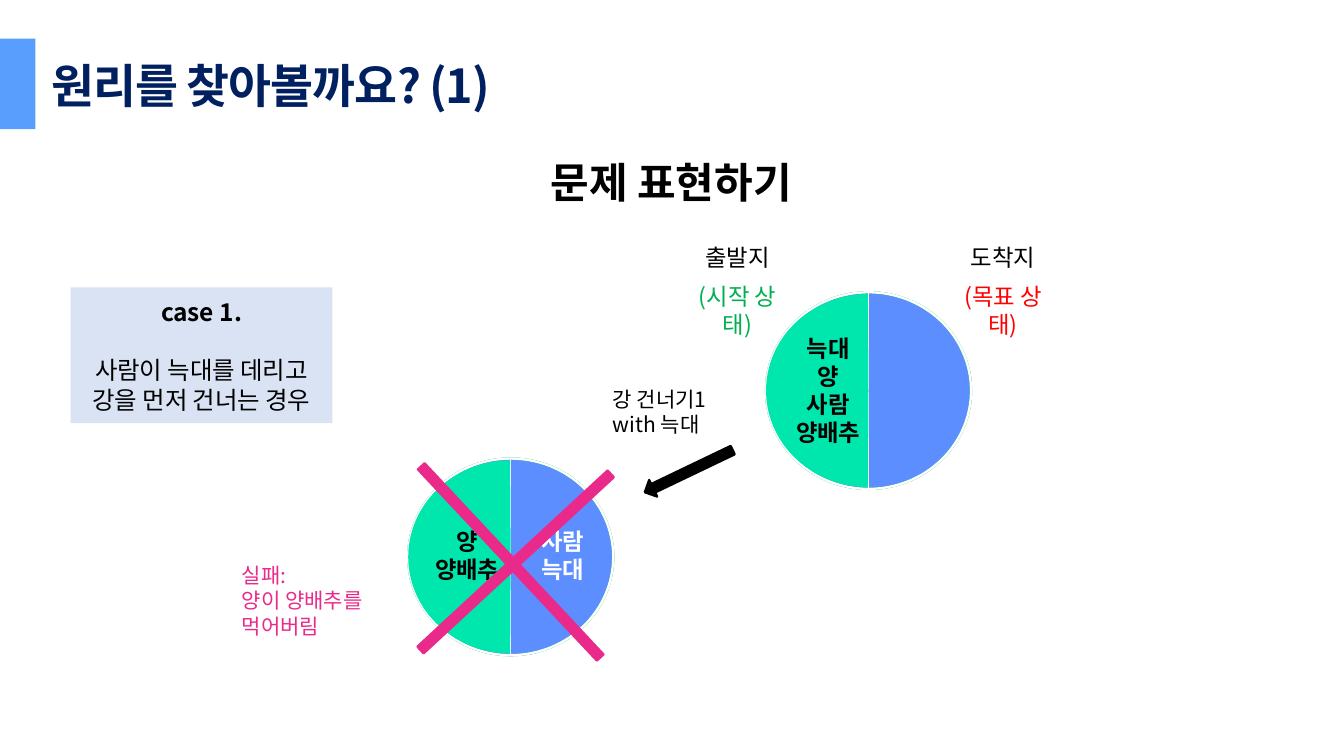
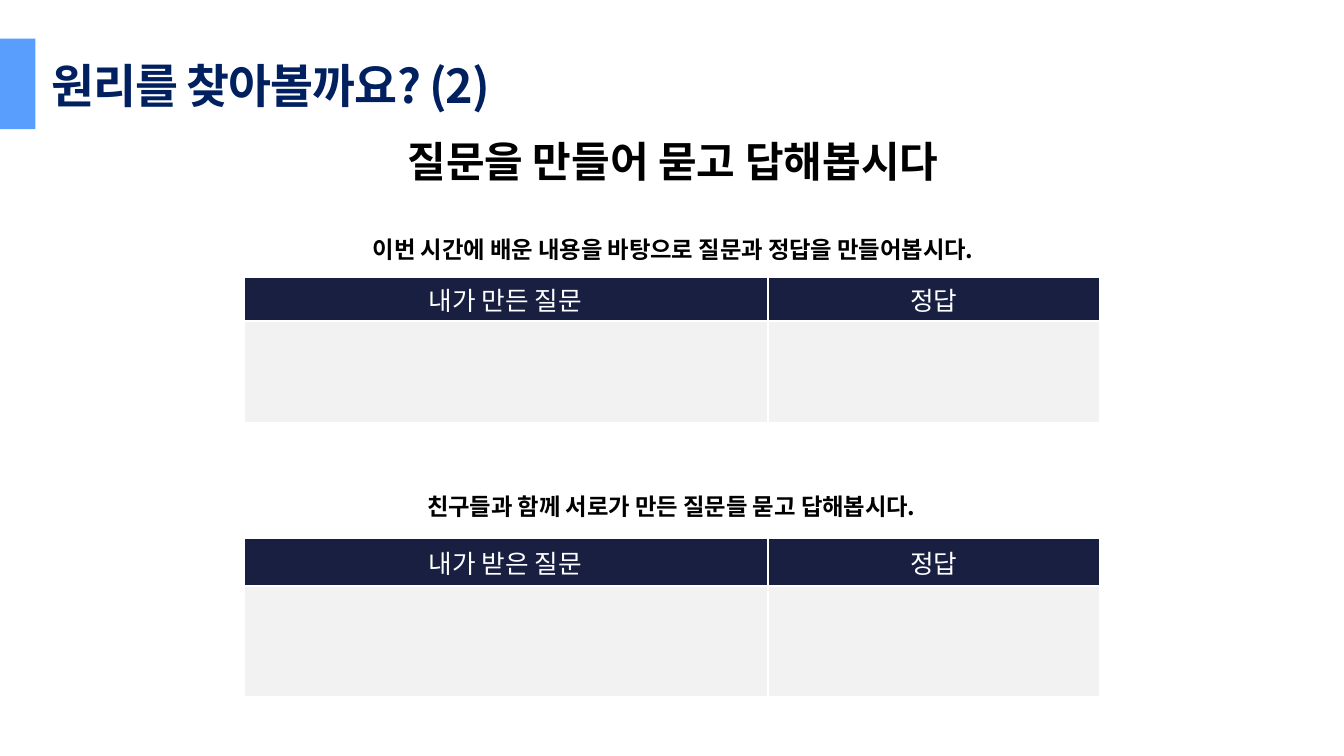
from dataclasses import dataclass

from lxml.etree import SubElement
from pptx import Presentation
from pptx.dml.color import RGBColor
from pptx.enum.shapes import MSO_CONNECTOR, MSO_SHAPE
from pptx.enum.text import MSO_ANCHOR, MSO_AUTO_SIZE, PP_ALIGN
from pptx.oxml.ns import qn
from pptx.util import Inches, Pt

FONT = "Noto Sans CJK KR"
BLACK = RGBColor(0x00, 0x00, 0x00)
WHITE = RGBColor(0xFF, 0xFF, 0xFF)
TITLE_NAVY = RGBColor(0x00, 0x20, 0x60)
BAND_BLUE = RGBColor(0x59, 0x9D, 0xFD)
CASE_BLUE = RGBColor(0xDA, 0xE3, 0xF3)
START_GREEN = RGBColor(0x00, 0xB0, 0x50)
GOAL_RED = RGBColor(0xFF, 0x00, 0x00)
FAIL_PINK = RGBColor(0xEA, 0x2A, 0x8A)
ARRIVAL_BLUE = RGBColor(0x5C, 0x8E, 0xFF)
DEPARTURE_GREEN = RGBColor(0x00, 0xE7, 0xAE)
DIVIDER_GREEN = RGBColor(0x70, 0xAD, 0x47)
HEADER_NAVY = RGBColor(0x19, 0x1F, 0x41)
CELL_GRAY = RGBColor(0xF2, 0xF2, 0xF2)

CIRCLE_WIDTH, CIRCLE_HEIGHT = 1.22, 1.17
COLUMN_WIDTHS = (3.12, 1.98)
TABLE_LEFT = 1.45


@dataclass
class Label:
    lines: tuple[str, ...]
    left: float
    top: float
    width: float
    height: float
    size: float = 10
    color: RGBColor = BLACK
    bold: bool = False
    align: PP_ALIGN = PP_ALIGN.CENTER
    wrap: bool = True


@dataclass
class State:
    """A river state: departure bank on the left, arrival bank on the right."""
    left: float
    top: float
    labels: tuple[Label, ...]


@dataclass
class Turned:
    """A rotated one-colour shape."""
    kind: MSO_SHAPE
    left: float
    top: float
    width: float
    height: float
    rotation: float
    color: RGBColor


@dataclass
class Worksheet:
    instruction: Label
    question: str
    top: float
    row_heights: tuple[float, float]


def style_paragraph(paragraph, size: float, color: RGBColor, bold: bool, align: PP_ALIGN) -> None:
    paragraph.alignment = align
    font = paragraph.font
    font.name, font.size, font.bold = FONT, Pt(size), bold
    font.color.rgb = color
    properties = paragraph._p.pPr.find(qn("a:defRPr"))
    SubElement(properties, qn("a:ea")).set("typeface", FONT)


def add_label(slide, label: Label):
    box = slide.shapes.add_textbox(Inches(label.left), Inches(label.top),
                                   Inches(label.width), Inches(label.height))
    frame = box.text_frame
    frame.word_wrap = label.wrap
    frame.auto_size = MSO_AUTO_SIZE.SHAPE_TO_FIT_TEXT
    frame.text = "\n".join(label.lines)
    for paragraph in frame.paragraphs:
        style_paragraph(paragraph, label.size, label.color, label.bold, label.align)
    return box


def add_filled(shapes, kind: MSO_SHAPE, left: float, top: float, width: float, height: float,
               fill: RGBColor | None, line: RGBColor | None = None):
    shape = shapes.add_shape(kind, Inches(left), Inches(top), Inches(width), Inches(height))
    shape.shadow.inherit = False
    if fill is None:
        shape.fill.background()
    else:
        shape.fill.solid()
        shape.fill.fore_color.rgb = fill
    if line is None:
        shape.line.fill.background()
    else:
        shape.line.color.rgb = line
        shape.line.width = Pt(1)
    return shape


def add_turned(slide, turned: Turned) -> None:
    shape = add_filled(slide.shapes, turned.kind, turned.left, turned.top,
                       turned.width, turned.height, turned.color, turned.color)
    shape.rotation = turned.rotation


def add_state(slide, state: State) -> None:
    # Circle with its divider, then a white outline over it
    group = slide.shapes.add_group_shape()
    middle = Inches(state.left + CIRCLE_WIDTH / 2)
    layers = ((ARRIVAL_BLUE, START_GREEN, DIVIDER_GREEN), (None, WHITE, WHITE))
    for fill, outline, divider_color in layers:
        add_filled(group.shapes, MSO_SHAPE.OVAL, state.left, state.top,
                   CIRCLE_WIDTH, CIRCLE_HEIGHT, fill, outline)
        divider = group.shapes.add_connector(
            MSO_CONNECTOR.STRAIGHT, middle, Inches(state.top),
            middle, Inches(state.top + CIRCLE_HEIGHT))
        divider.line.color.rgb = divider_color
        divider.line.width = Pt(0.5)
        SubElement(divider._element.spPr, qn("a:effectLst"))
    # Departure half
    half = add_filled(slide.shapes, MSO_SHAPE.PIE, state.left, state.top + 0.01,
                      CIRCLE_WIDTH, CIRCLE_HEIGHT - 0.02, DEPARTURE_GREEN)
    half.adjustments[0], half.adjustments[1] = 54.19, 161.78
    for label in state.labels:
        add_label(slide, label)


def add_borders(cell, color: RGBColor) -> None:
    properties = cell._tc.get_or_add_tcPr()
    for side in ("lnL", "lnR", "lnT", "lnB"):
        border = SubElement(properties, qn(f"a:{side}"), w=str(Pt(1)))
        fill = SubElement(border, qn("a:solidFill"))
        SubElement(fill, qn("a:srgbClr"), val=str(color))


def add_worksheet(slide, worksheet: Worksheet) -> None:
    add_label(slide, worksheet.instruction)
    table = slide.shapes.add_table(
        2, 2, Inches(TABLE_LEFT), Inches(worksheet.top),
        Inches(sum(COLUMN_WIDTHS)), Inches(sum(worksheet.row_heights))).table
    table.first_row = table.horz_banding = False
    for column, width in zip(table.columns, COLUMN_WIDTHS):
        column.width = Inches(width)
    for row, height in zip(table.rows, worksheet.row_heights):
        row.height = Inches(height)
    for cell in table.iter_cells():
        add_borders(cell, WHITE)
        cell.fill.solid()
        cell.fill.fore_color.rgb = CELL_GRAY
    for column, heading in enumerate((worksheet.question, "정답")):
        cell = table.cell(0, column)
        cell.fill.fore_color.rgb = HEADER_NAVY
        cell.vertical_anchor = MSO_ANCHOR.MIDDLE
        cell.margin_left = cell.margin_right = Inches(0.07)
        cell.margin_top = cell.margin_bottom = Inches(0.02)
        cell.text = heading
        style_paragraph(cell.text_frame.paragraphs[0], 11, WHITE, False, PP_ALIGN.CENTER)


def add_titled_slide(presentation, title: str):
    slide = presentation.slides.add_slide(presentation.slide_layouts[6])
    box = add_label(slide, Label((title,), 0.21, 0.29, 3.35, 0.44, 20, TITLE_NAVY, True,
                                 PP_ALIGN.LEFT))
    box.text_frame.paragraphs[0]._p.pPr.find(qn("a:defRPr")).set("spc", "-50")
    add_filled(slide.shapes, MSO_SHAPE.RECTANGLE, -0.23, 0.23, 0.44, 0.54, BAND_BLUE)
    return slide


def add_case_box(slide) -> None:
    box = add_filled(slide.shapes, MSO_SHAPE.RECTANGLE, 0.42, 1.71, 1.56, 0.81, CASE_BLUE)
    frame = box.text_frame
    frame.word_wrap = False
    frame.vertical_anchor = MSO_ANCHOR.MIDDLE
    frame.text = "case 1.\n사람이 늑대를 데리고\n강을 먼저 건너는 경우"
    for index, paragraph in enumerate(frame.paragraphs):
        style_paragraph(paragraph, 10.5, BLACK, index == 0, PP_ALIGN.CENTER)
    frame.paragraphs[1].space_before = Pt(12.5)


def build_problem_slide(presentation) -> None:
    slide = add_titled_slide(presentation, "원리를 찾아볼까요? (1)")
    add_case_box(slide)
    labels = (
        Label(("문제 표현하기",), 2.83, 0.88, 2.33, 0.4, 18, bold=True),
        Label(("출발지",), 4.07, 1.4, 0.64, 0.27),
        Label(("도착지",), 5.47, 1.4, 1, 0.27),
        Label(("강 건너기1", "with 늑대"), 3.55, 2.25, 1.01, 0.4, 9, align=PP_ALIGN.LEFT),
        Label(("실패:", "양이 양배추를", "먹어버림"), 1.34, 3.3, 1.01, 0.56, 9, FAIL_PINK,
              align=PP_ALIGN.LEFT),
        Label(("(시작 상태)",), 3.98, 1.63, 0.82, 0.27, color=START_GREEN),
        Label(("(목표 상태)",), 5.56, 1.63, 0.82, 0.27, color=GOAL_RED),
    )
    for label in labels:
        add_label(slide, label)

    # Start state, crossing arrow, failed state
    add_state(slide, State(4.56, 1.74, (
        Label(("늑대", "양", "사람", "양배추"), 4.64, 1.94, 0.58, 0.79, bold=True),)))
    add_turned(slide, Turned(MSO_SHAPE.LEFT_ARROW, 3.81, 2.75, 0.58, 0.11, 334.4, BLACK))
    add_state(slide, State(2.43, 2.73, (
        Label(("양", "양배추"), 2.49, 3.09, 0.58, 0.44, bold=True),
        Label(("사람", "늑대"), 3.06, 3.09, 0.58, 0.45, color=WHITE, bold=True))))

    # Cross over the failed state
    for left, width, rotation in ((2.02, 2.1, 317.2), (1.98, 2.12, 46.9)):
        add_turned(slide, Turned(MSO_SHAPE.MATH_MINUS, left, 3.23, width, 0.23, rotation,
                                 FAIL_PINK))


def build_question_slide(presentation) -> None:
    slide = add_titled_slide(presentation, "원리를 찾아볼까요? (2)")
    add_label(slide, Label(("질문을 만들어 묻고 답해봅시다",), 0.88, 0.76, 6.25, 0.4, 18,
                           bold=True))
    worksheets = (
        Worksheet(Label(("이번 시간에 배운 내용을 바탕으로 질문과 정답을 만들어봅시다.",),
                        2.1, 1.35, 3.81, 0.27, bold=True, wrap=False),
                  "내가 만든 질문", 1.65, (0.26, 0.61)),
        Worksheet(Label(("친구들과 함께 서로가 만든 질문들 묻고 답해봅시다.",),
                        2.43, 2.88, 3.13, 0.27, bold=True, wrap=False),
                  "내가 받은 질문", 3.2, (0.29, 0.66)),
    )
    for worksheet in worksheets:
        add_worksheet(slide, worksheet)


def main() -> None:
    presentation = Presentation()
    presentation.slide_width, presentation.slide_height = Inches(8), Inches(4.5)
    build_problem_slide(presentation)
    build_question_slide(presentation)
    presentation.save("out.pptx")


if __name__ == "__main__":
    main()
